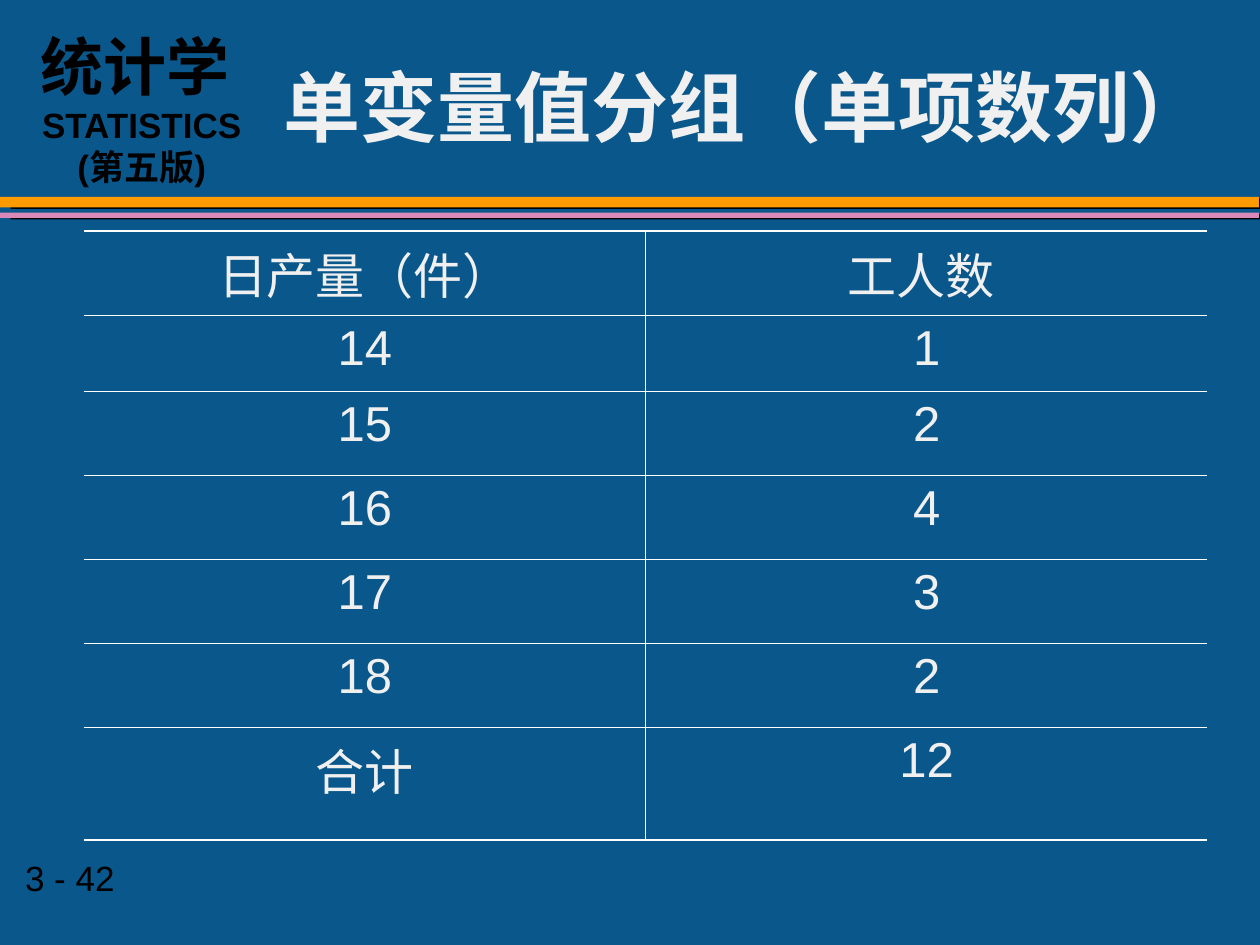
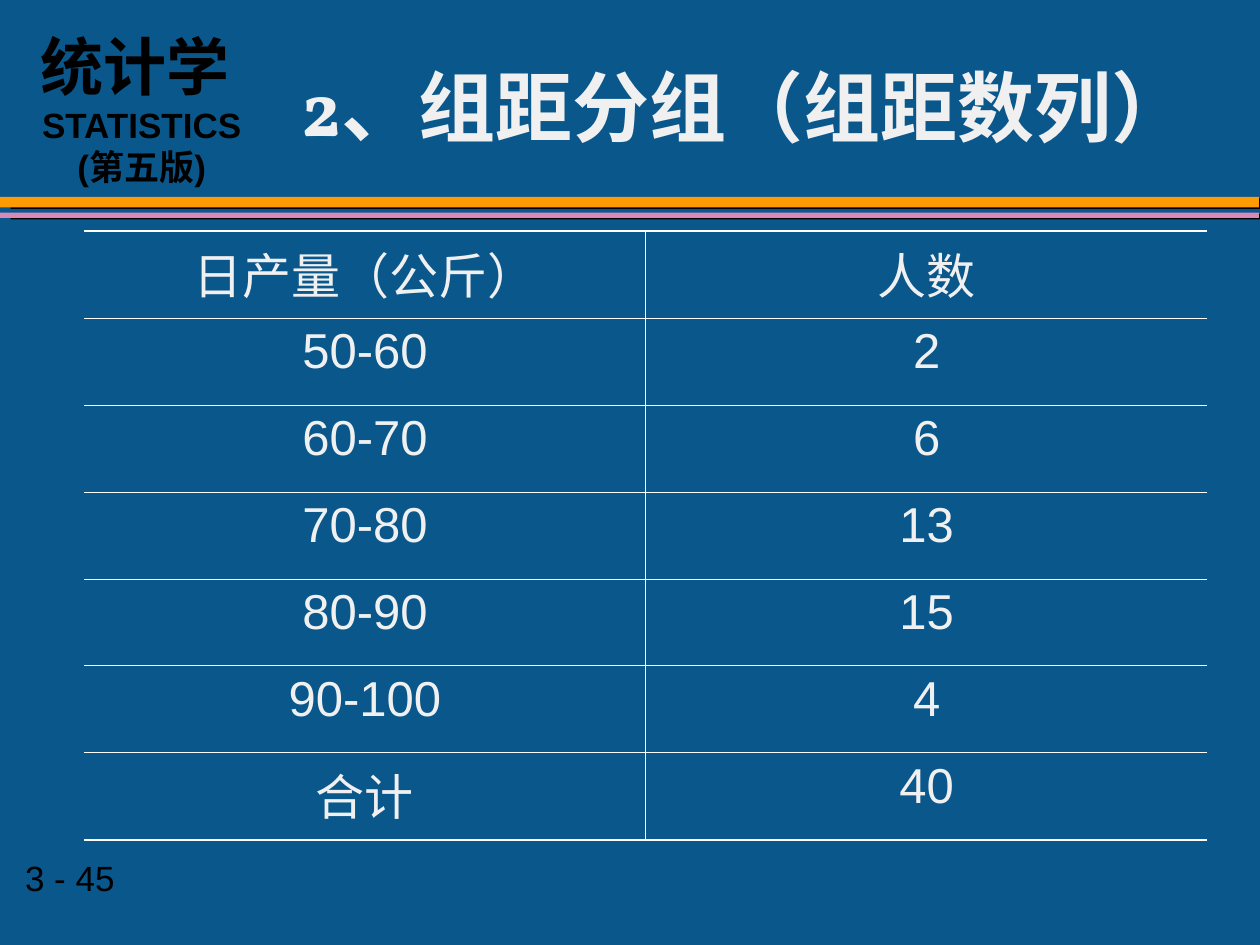
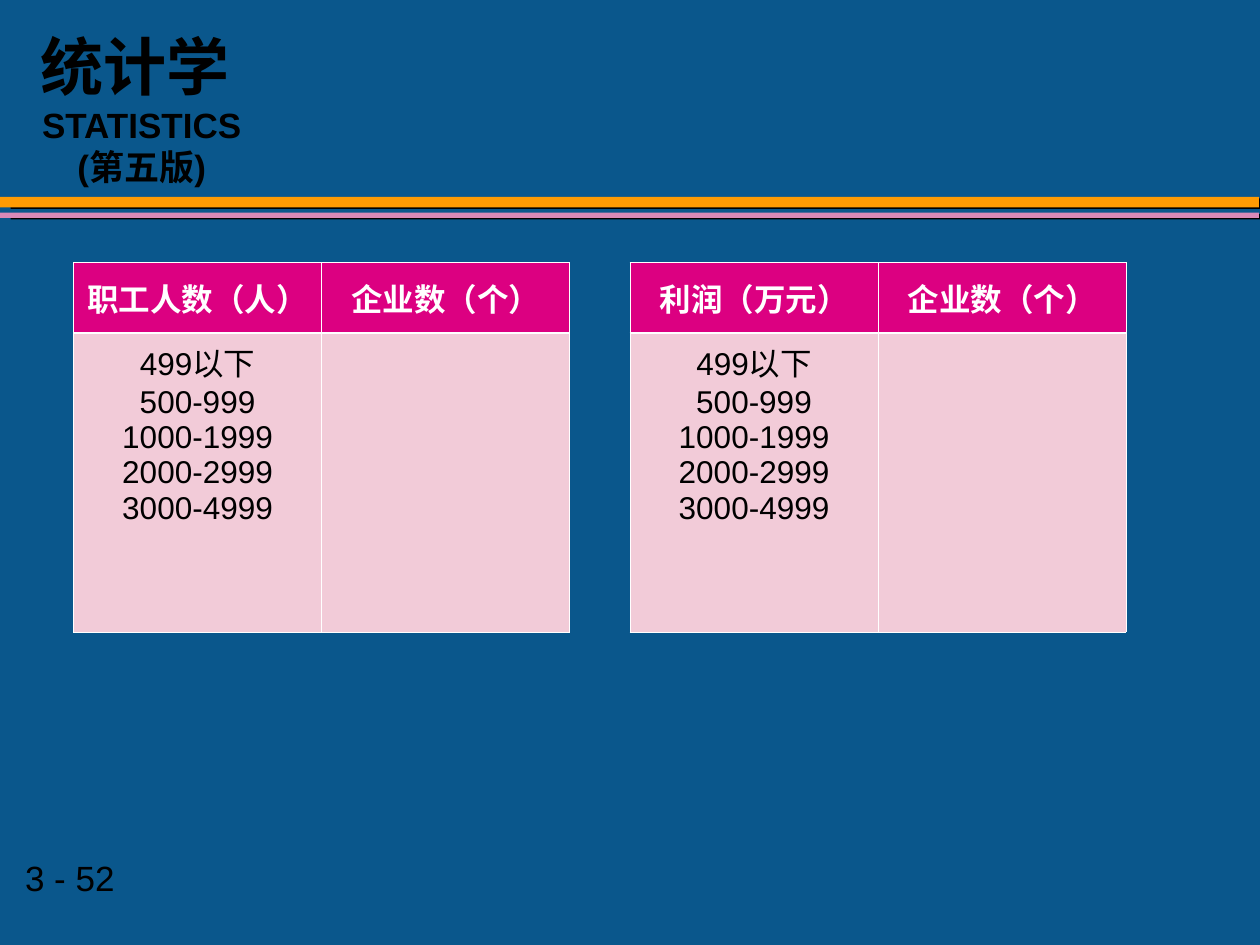
"""Build three statistics slides about grouped frequency tables."""
from lxml import etree
from pptx import Presentation
from pptx.dml.color import RGBColor
from pptx.enum.shapes import MSO_SHAPE
from pptx.enum.text import MSO_ANCHOR, MSO_AUTO_SIZE, PP_ALIGN
from pptx.oxml.ns import qn
from pptx.util import Inches, Pt

RECTANGLE = MSO_SHAPE.RECTANGLE
TOP, MIDDLE = MSO_ANCHOR.TOP, MSO_ANCHOR.MIDDLE
NO_FIT = MSO_AUTO_SIZE.NONE
LEFT, CENTER = PP_ALIGN.LEFT, PP_ALIGN.CENTER

BLUE = RGBColor(0x0A, 0x57, 0x8C)
ORANGE = RGBColor(0xFE, 0x9B, 0x03)
PINK = RGBColor(0xD9, 0x89, 0xB8)
MAGENTA = RGBColor(0xDC, 0x00, 0x81)
PALE_PINK = RGBColor(0xF2, 0xCB, 0xD8)
LIGHT = RGBColor(0xF0, 0xF0, 0xF0)
WHITE = RGBColor(0xFF, 0xFF, 0xFF)
BLACK = RGBColor(0x00, 0x00, 0x00)

WIDTH, HEIGHT = Inches(10), Inches(7.5)
COLUMNS, ROWS = 120, 90
TITLE_ONLY, BLANK = 5, 6
BODY_FONT, TITLE_FONT = "Arial", "Vollkorn"
THIN, MEDIUM, THICK = 0.45, 1.08, 1.47


def across(columns):
    """Return the length of a number of grid columns."""
    return round(WIDTH * columns / COLUMNS)


def down(rows):
    """Return the length of a number of grid rows."""
    return round(HEIGHT * rows / ROWS)


def area(left, top, width, height):
    """Return a grid area as slide lengths."""
    return across(left), down(top), across(width), down(height)


def write(frame, text, *, size, color=BLACK, bold=False, font=BODY_FONT,
          align=CENTER, spacing=None, extend=False):
    """Write each line of the text as a formatted paragraph."""
    for index, line in enumerate(text.split("\n")):
        fresh = extend or index
        para = frame.add_paragraph() if fresh else frame.paragraphs[0]
        para.alignment = align
        if spacing:
            para.line_spacing = spacing
        span = para.add_run()
        span.text = line
        span.font.name = font
        span.font.size = Pt(size)
        span.font.bold = bold
        span.font.color.rgb = color


def set_borders(cell, **widths):
    """Draw the cell's white borders, leaving out those of zero width."""
    properties = cell._tc.get_or_add_tcPr()
    for position, side in enumerate("LRTB"):
        line = etree.Element(qn(f"a:ln{side}"))
        properties.insert(position, line)
        if not widths[side]:
            etree.SubElement(line, qn("a:noFill"))
            continue
        line.set("w", str(Pt(widths[side])))
        fill = etree.SubElement(line, qn("a:solidFill"))
        etree.SubElement(fill, qn("a:srgbClr"), val=str(WHITE))


class StatisticsDeck:
    """Hold the deck's style and its current slide."""

    def __init__(self):
        """Start an empty deck with the shared background."""
        self.deck = Presentation()
        self.deck.slide_width, self.deck.slide_height = WIDTH, HEIGHT
        background = self.deck.slide_master.background.fill
        background.solid()
        background.fore_color.rgb = BLUE
        self.page = None

    def add_page(self, number, title=None):
        """Add a slide with the shared bands, course name and number."""
        layout = self.deck.slide_layouts[TITLE_ONLY if title else BLANK]
        self.page = self.deck.slides.add_slide(layout)
        self.band(18.75, 1, ORANGE)
        self.band(20.25, 0.5, PINK)
        footer = self.text_box(1.2, 81, 22.4, 5.2)
        write(footer, f"3 - {number}", size=20, align=LEFT)
        course = self.text_box(2, 1.3, 23, 17.2)
        course.margin_top = Inches(0.11)
        write(course, "统计学 ", size=36, bold=True)
        write(course, "STATISTICS\n(第五版)", size=20, bold=True, extend=True)
        if title:
            self.title(title)

    def band(self, top, height, color):
        """Draw a full-width band with a hard shadow."""
        band = self.page.shapes.add_shape(
            RECTANGLE, *area(0, top, 119.9, height))
        band.fill.solid()
        band.fill.fore_color.rgb = color
        band.line.fill.background()
        band.shadow.inherit = False
        effects = band._element.spPr.find(qn("a:effectLst"))
        shadow = etree.SubElement(
            effects, qn("a:outerShdw"), dist=str(Pt(6.1)), dir="540000",
            algn="ctr", rotWithShape="0")
        etree.SubElement(shadow, qn("a:srgbClr"), val=str(BLACK))

    def text_box(self, *place):
        """Add a wrapping text box and return its text frame."""
        frame = self.page.shapes.add_textbox(*area(*place)).text_frame
        frame.word_wrap = True
        return frame

    def title(self, text):
        """Place and format the title placeholder."""
        box = self.page.shapes.title
        box.left, box.top, box.width, box.height = area(24, 2, 94, 17)
        frame = box.text_frame
        frame.auto_size = NO_FIT
        frame.vertical_anchor = MIDDLE
        write(frame, text, size=44, color=LIGHT, bold=True,
              font=TITLE_FONT, spacing=0.95)

    def table(self, left, top, width, heights, records):
        """Add an unstyled table and return it."""
        place = area(left, top, width, sum(heights))
        table = self.page.shapes.add_table(
            len(records), len(records[0]), *place).table
        table.first_row = table.horz_banding = False
        for column in table.columns:
            column.width = across(width / len(records[0]))
        for row, height in zip(table.rows, heights):
            row.height = down(height)
        return table

    def open_table(self, heights, records):
        """Add a large transparent table without side borders."""
        table = self.table(8, 22, 107, heights, records)
        last_row, last_column = len(records) - 1, len(records[0]) - 1
        for row, record in enumerate(records):
            for column, text in enumerate(record):
                cell = table.cell(row, column)
                cell.fill.background()
                write(cell.text_frame, text, size=28, color=LIGHT)
                set_borders(cell, L=THIN if column else 0,
                            R=THIN if column < last_column else 0,
                            T=THIN if row else MEDIUM,
                            B=THIN if row < last_row else MEDIUM)

    def filled_table(self, left, records):
        """Add a small table with a magenta header above a pale body."""
        table = self.table(left, 25, 47.25, (6.7, 28.5), records)
        for row, record in enumerate(records):
            header = row == 0
            for column, text in enumerate(record):
                cell = table.cell(row, column)
                cell.fill.solid()
                cell.fill.fore_color.rgb = MAGENTA if header else PALE_PINK
                cell.vertical_anchor = MIDDLE if header else TOP
                if text:
                    write(cell.text_frame, text, size=18, bold=header,
                          color=WHITE if header else BLACK)
                set_borders(cell, L=THIN, R=THIN,
                            T=THIN if header else THICK,
                            B=THICK if header else THIN)


def main():
    """Build and save the deck."""
    statistics = StatisticsDeck()

    statistics.add_page(42, "单变量值分组（单项数列）")
    statistics.open_table(
        (8, 7.25, 8, 8, 8, 8, 10.75),
        (("日产量（件）", "工人数 "), ("14", "1"), ("15", "2"), ("16", "4"),
         ("17", "3"), ("18", "2"), ("合计", "12")))

    statistics.add_page(45, "2、组距分组（组距数列）")
    statistics.open_table(
        (58 / 7,) * 7,
        (("日产量（公斤）", "人数"), ("50-60", "2"), ("60-70", "6"),
         ("70-80", "13"), ("80-90", "15"), ("90-100", "4"), ("合计", "40")))

    statistics.add_page(52)
    classes = "499以下\n500-999\n1000-1999\n2000-2999\n3000-4999"
    for left, measure in ((7, "职工人数（人）"), (60, "利润（万元）")):
        statistics.filled_table(
            left, ((measure, "企业数（个）"), (classes, "")))

    statistics.deck.save("out.pptx")


if __name__ == "__main__":
    main()
